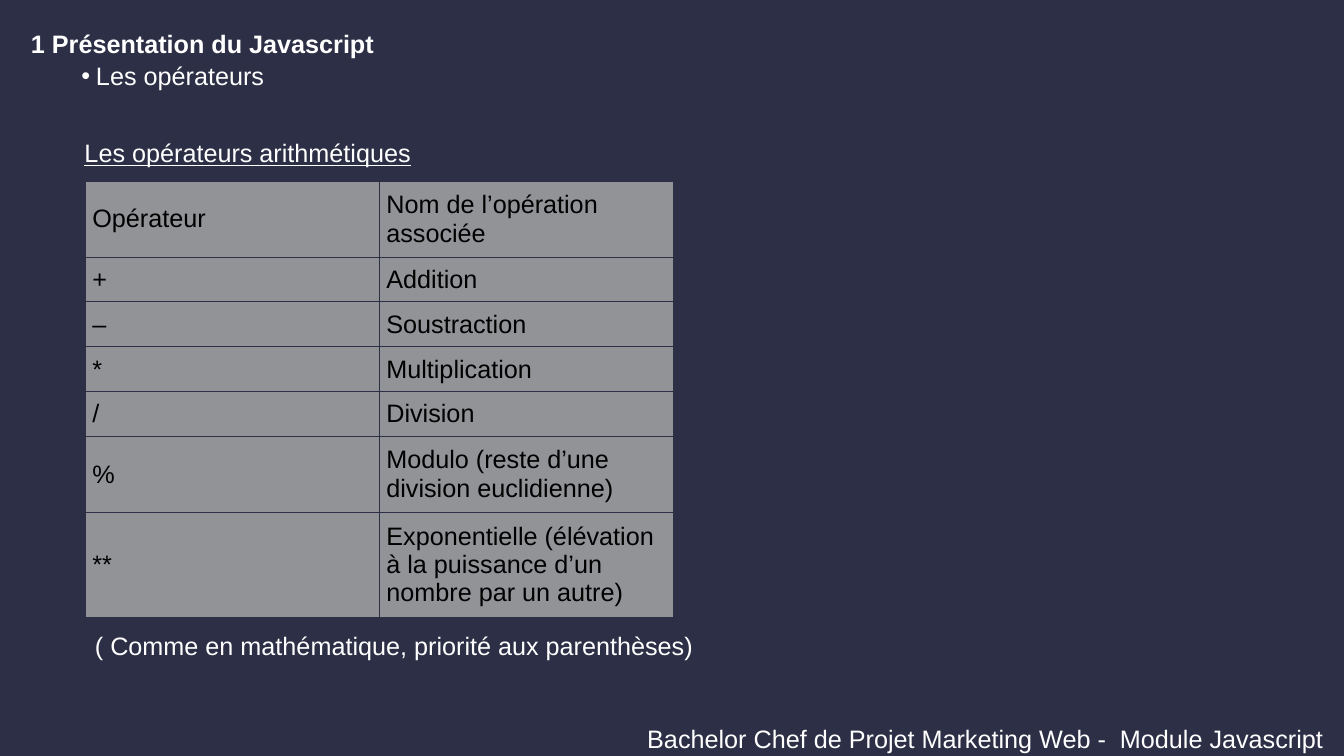
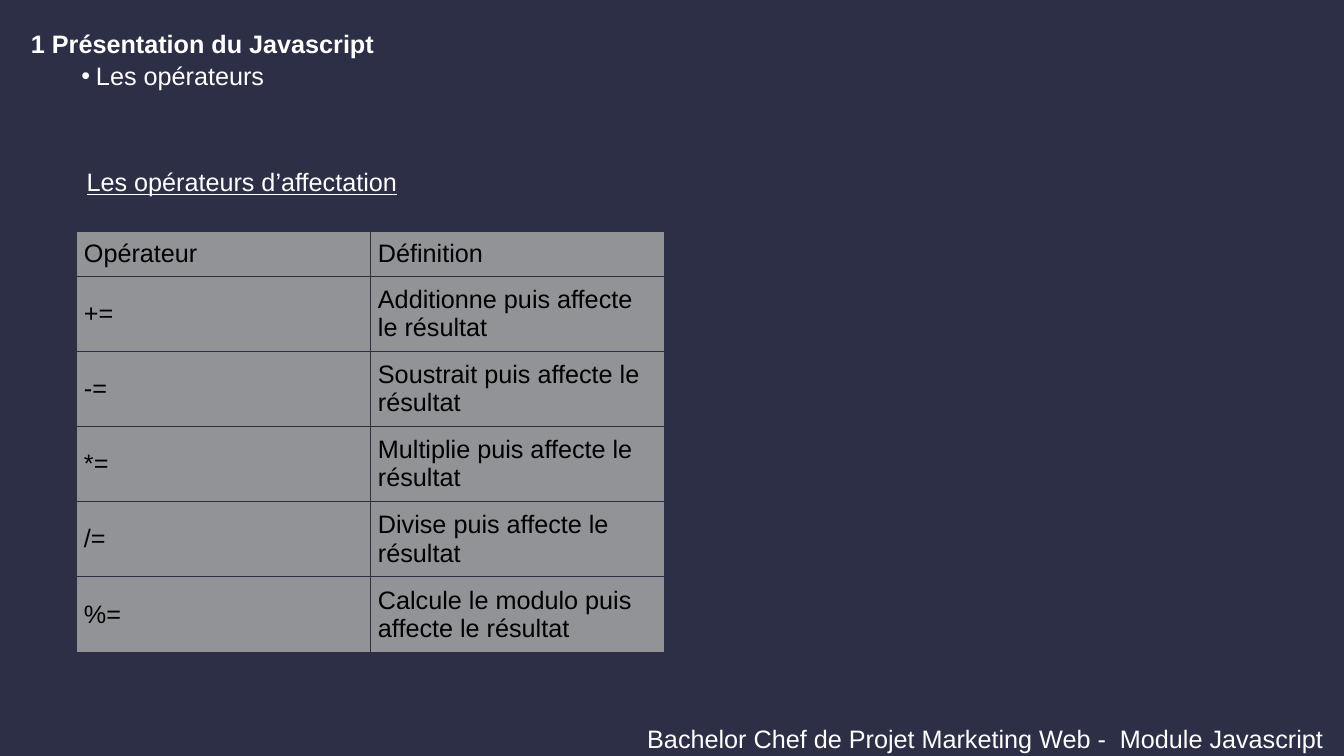
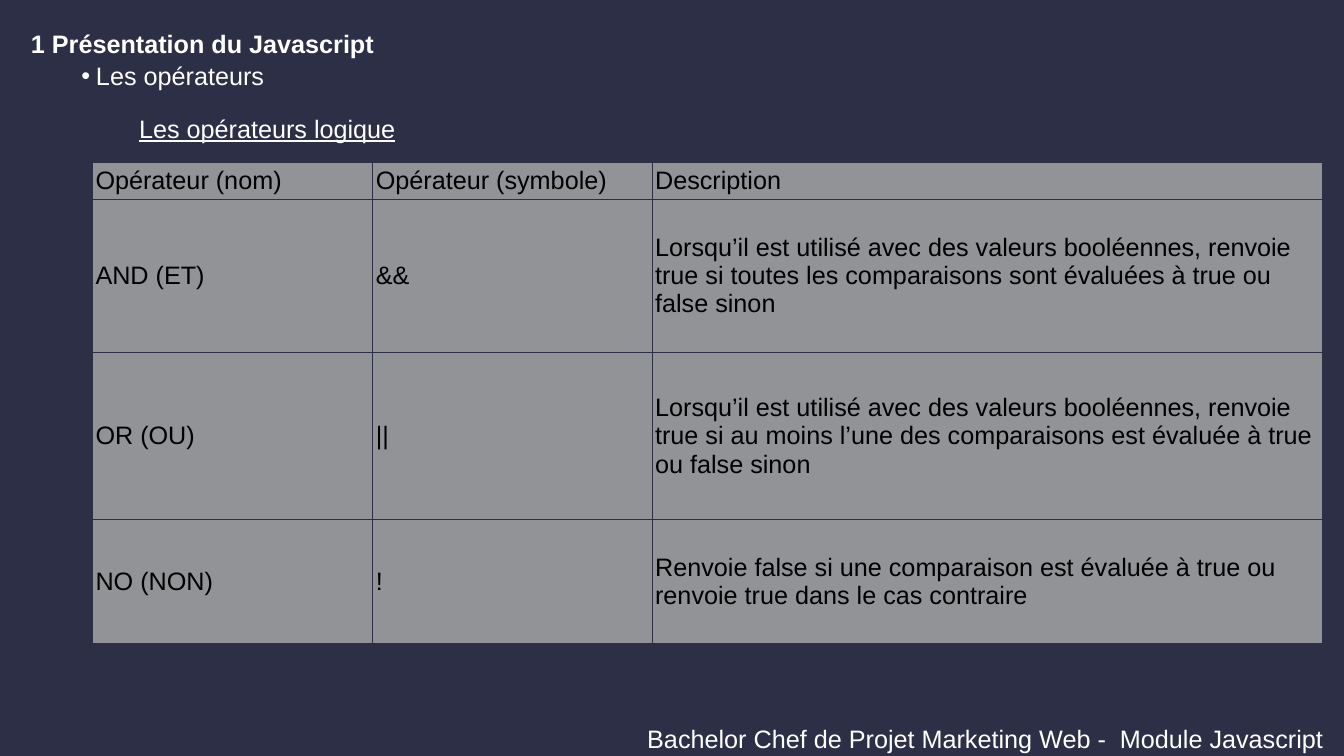
from dataclasses import dataclass

from lxml.etree import SubElement
from pptx import Presentation
from pptx.dml.color import RGBColor
from pptx.enum.text import MSO_ANCHOR, MSO_AUTO_SIZE, PP_ALIGN
from pptx.oxml import parse_xml
from pptx.oxml.ns import nsdecls, qn
from pptx.util import Emu, Pt


@dataclass(frozen=True)
class Theme:
    background: str = "2C2F45"
    light_text: str = "FFFFFF"
    dark_text: str = "000000"
    cell_fill: str = "929397"
    border: str = "2C2F45"
    border_width: int = Pt(0.5)
    font: str = "Arial"
    text_size: int = Pt(18)
    line_spacing: float = 1.07


THEME = Theme()
EMU_PER_PX = 9525
SLIDE_SIZE = (1280, 720)
HEADING_BOX = (20, 20, 640, 68)
FOOTER_BOX = (607, 682, 673, 38)
BULLET_MARGIN, BULLET_INDENT = 62, -14
LINE_HEIGHT = 28

CHAPTER = "1 Présentation du Javascript"
TOPIC = "Les opérateurs"
FOOTER = "Bachelor Chef de Projet Marketing Web -  Module Javascript"

ARITHMETIC = [
    ("Opérateur", "Nom de l’opération associée"),
    ("+", "Addition"),
    ("–", "Soustraction"),
    ("*", "Multiplication"),
    ("/", "Division"),
    ("%", "Modulo (reste d’une division euclidienne)"),
    ("**", "Exponentielle (élévation à la puissance d’un nombre par un autre)"),
]
ASSIGNMENT = [
    ("Opérateur", "Définition"),
    ("+=", "Additionne puis affecte le résultat"),
    ("-=", "Soustrait puis affecte le résultat"),
    ("*=", "Multiplie puis affecte le résultat"),
    ("/=", "Divise puis affecte le résultat"),
    ("%=", "Calcule le modulo puis affecte le résultat"),
]
LOGIC = [
    ("Opérateur (nom)", "Opérateur (symbole)", "Description"),
    ("AND (ET)", "&&",
     "Lorsqu’il est utilisé avec des valeurs booléennes, renvoie true si toutes "
     "les comparaisons sont évaluées à true ou false sinon"),
    ("OR (OU)", "||",
     "Lorsqu’il est utilisé avec des valeurs booléennes, renvoie true si au moins "
     "l’une des comparaisons est évaluée à true ou false sinon"),
    ("NO (NON)", "!",
     "Renvoie false si une comparaison est évaluée à true ou "
     "renvoie true dans le cas contraire"),
]


def px(length):
    return Emu(length * EMU_PER_PX)


def add_run(paragraph, text, color=THEME.light_text, bold=False, underline=False):
    run = paragraph.add_run()
    run.text = text
    font = run.font
    font.name = THEME.font
    font.size = THEME.text_size
    font.bold = bold
    font.underline = underline
    font.color.rgb = RGBColor.from_string(color)


def add_text_frame(slide, box, wrap=True):
    frame = slide.shapes.add_textbox(*map(px, box)).text_frame
    frame.word_wrap = wrap
    frame.auto_size = MSO_AUTO_SIZE.SHAPE_TO_FIT_TEXT
    frame.paragraphs[0].line_spacing = THEME.line_spacing
    return frame


def add_footer(slide, box):
    add_run(add_text_frame(slide, box).paragraphs[0], FOOTER)


def add_heading(slide, box):
    frame = add_text_frame(slide, box)
    add_run(frame.paragraphs[0], CHAPTER, bold=True)
    topic = frame.add_paragraph()
    topic.level = 1
    topic.line_spacing = THEME.line_spacing
    add_run(topic, TOPIC)
    properties = topic._p.get_or_add_pPr()
    properties.set("marL", str(px(BULLET_MARGIN)))
    properties.set("indent", str(px(BULLET_INDENT)))
    SubElement(properties, qn("a:buFont")).set("typeface", THEME.font)
    SubElement(properties, qn("a:buChar")).set("char", "•")


def add_line_of_text(slide, box, text, underline=False):
    paragraph = add_text_frame(slide, box, wrap=False).paragraphs[0]
    paragraph.alignment = PP_ALIGN.JUSTIFY
    add_run(paragraph, text, underline=underline)


def set_borders(cell):
    properties = cell._tc.get_or_add_tcPr()
    for position, side in enumerate(("lnL", "lnR", "lnT", "lnB")):
        properties.insert(position, parse_xml(
            f'<a:{side} {nsdecls("a")} w="{THEME.border_width}"><a:solidFill>'
            f'<a:srgbClr val="{THEME.border}"/></a:solidFill></a:{side}>'))


def fill_cell(cell, text, inset):
    cell.margin_left = cell.margin_right = px(inset)
    cell.margin_top = cell.margin_bottom = px(inset)
    cell.vertical_anchor = MSO_ANCHOR.MIDDLE
    cell.fill.solid()
    cell.fill.fore_color.rgb = RGBColor.from_string(THEME.cell_fill)
    set_borders(cell)
    add_run(cell.text_frame.paragraphs[0], text, color=THEME.dark_text)


def add_operator_table(slide, origin, widths, heights, rows, inset):
    box = (*origin, sum(widths), sum(heights))
    table = slide.shapes.add_table(len(rows), len(widths), *map(px, box)).table
    table.first_row = table.horz_banding = False
    for column, width in zip(table.columns, widths):
        column.width = px(width)
    for row, height, texts in zip(table.rows, heights, rows):
        row.height = px(height)
        for cell, text in zip(row.cells, texts):
            fill_cell(cell, text, inset)


def heights_for_lines(line_counts, inset):
    return [count * LINE_HEIGHT + 2 * inset for count in line_counts]


def add_operator_slide(presentation, caption, caption_box, origin, widths, heights,
                       rows, inset):
    slide = presentation.slides.add_slide(presentation.slide_layouts[6])
    add_footer(slide, FOOTER_BOX)
    add_heading(slide, HEADING_BOX)
    add_operator_table(slide, origin, widths, heights, rows, inset)
    add_line_of_text(slide, caption_box, caption, underline=True)
    return slide


def main():
    presentation = Presentation()
    presentation.slide_width, presentation.slide_height = map(px, SLIDE_SIZE)
    background = presentation.slide_master.background.fill
    background.solid()
    background.fore_color.rgb = RGBColor.from_string(THEME.background)

    arithmetic_slide = add_operator_slide(
        presentation, "Les opérateurs arithmétiques", (71, 124, 333, 38),
        (81, 173), (280, 280), heights_for_lines((2, 1, 1, 1, 1, 2, 3), 7),
        ARITHMETIC, inset=7)
    add_line_of_text(arithmetic_slide, (81, 594, 597, 38),
                     "( Comme en mathématique, priorité aux parenthèses)")
    add_operator_slide(
        presentation, "Les opérateurs d’affectation", (73, 152, 318, 38),
        (73, 220), (280, 280), heights_for_lines((1, 2, 2, 2, 2, 2), 7),
        ASSIGNMENT, inset=7)
    add_operator_slide(
        presentation, "Les opérateurs logique", (123, 101, 266, 38),
        (88, 155), (267, 266, 638), (34, 146, 159, 118), LOGIC, inset=3)
    presentation.save("out.pptx")


if __name__ == "__main__":
    main()
